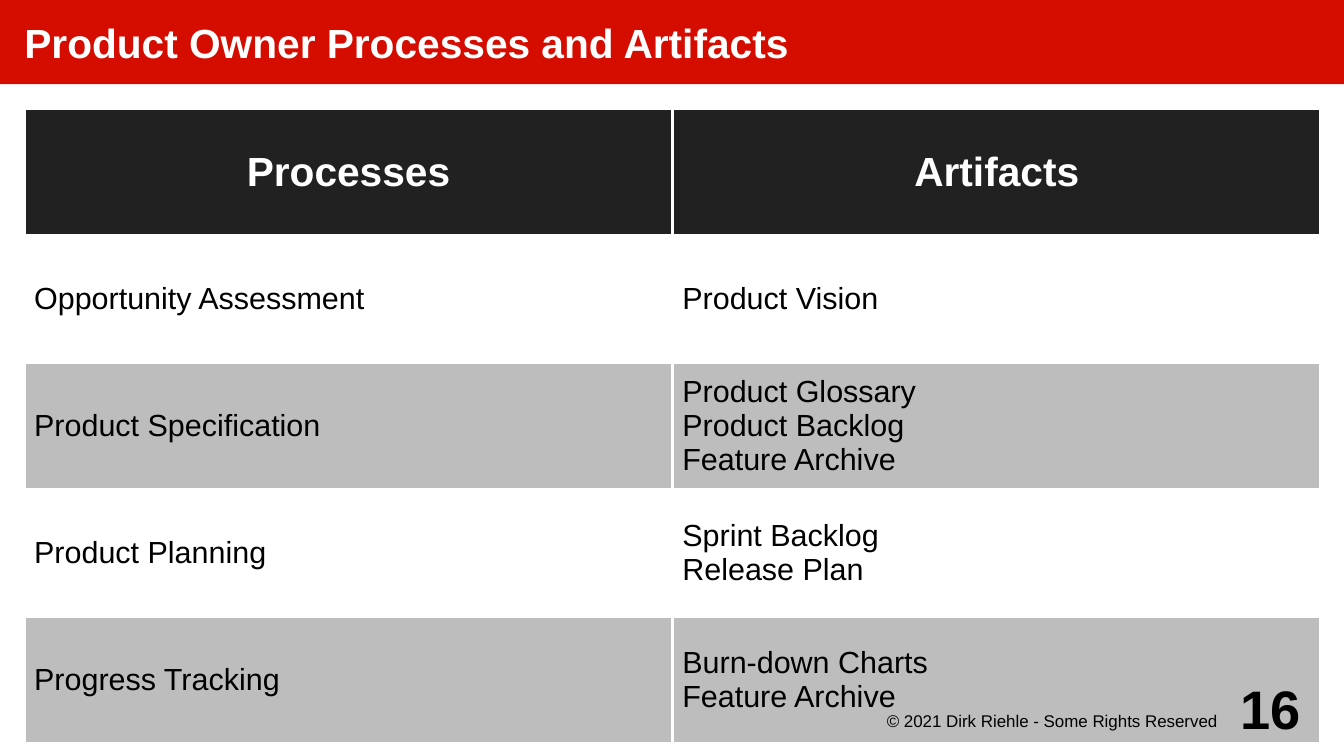
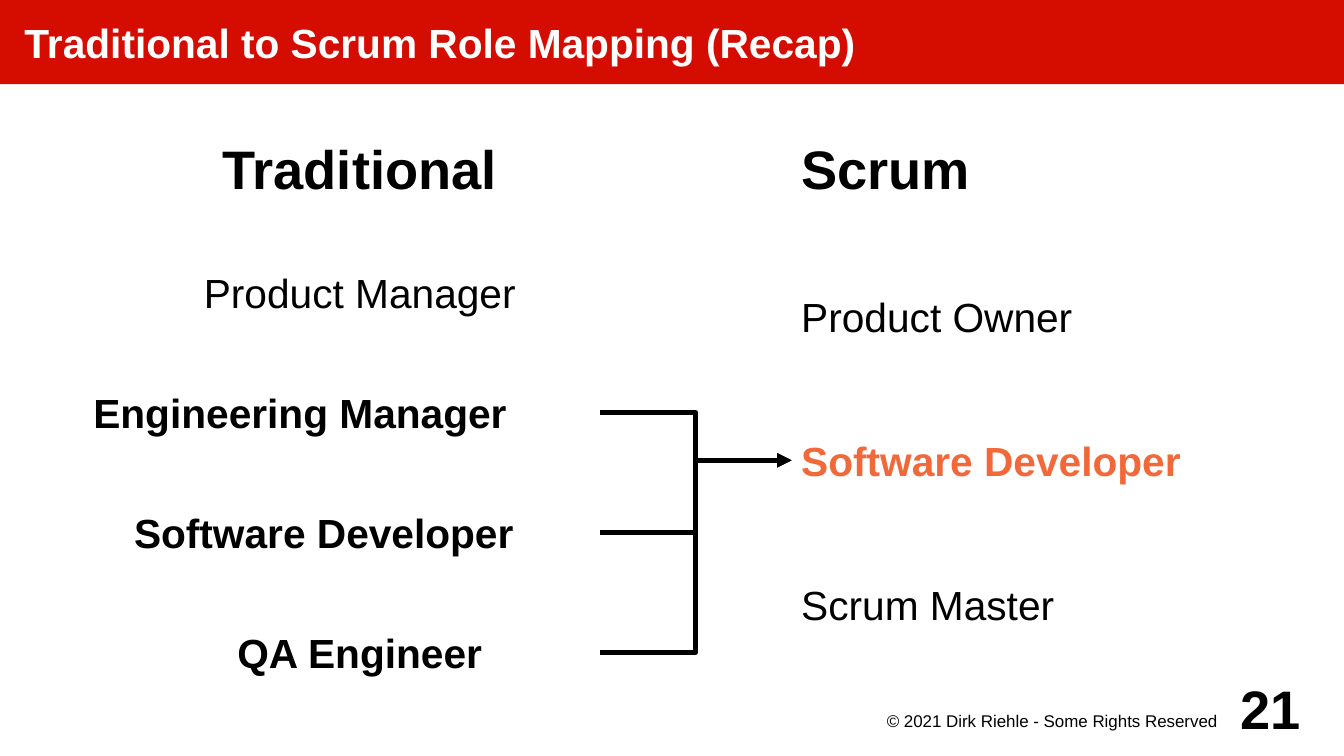
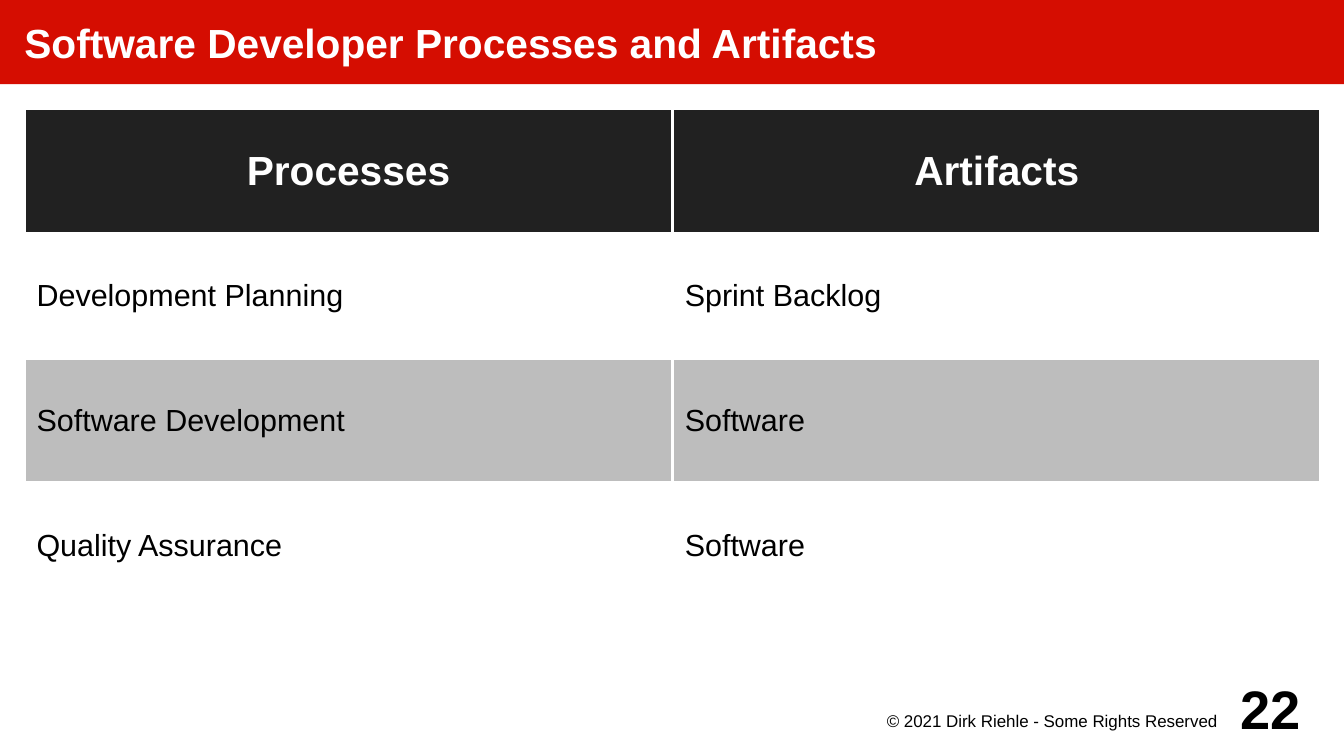
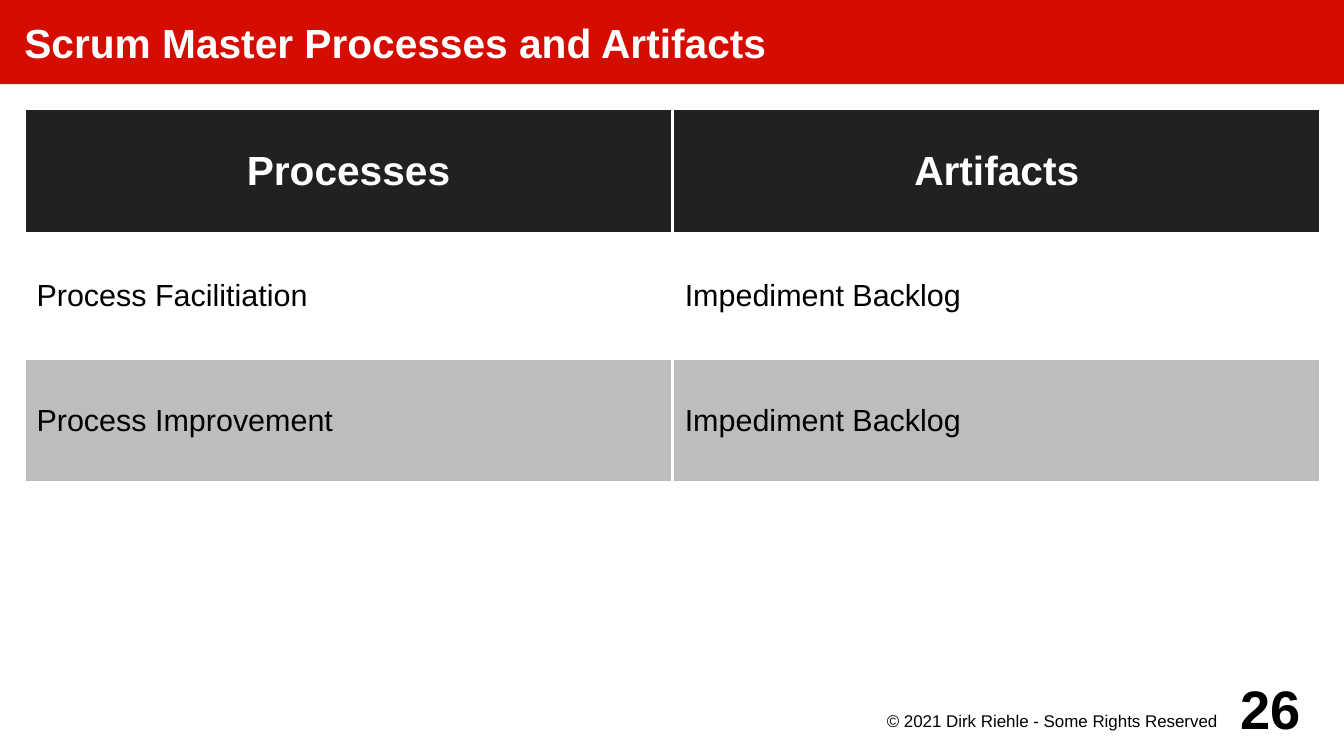
from lxml import etree
from pptx import Presentation
from pptx.dml.color import RGBColor
from pptx.enum.shapes import MSO_CONNECTOR
from pptx.enum.text import MSO_ANCHOR, PP_ALIGN
from pptx.oxml.ns import qn
from pptx.util import Inches, Pt

LEFT, MID = PP_ALIGN.LEFT, PP_ALIGN.CENTER
TOP, MIDDLE = MSO_ANCHOR.TOP, MSO_ANCHOR.MIDDLE
ELBOW = MSO_CONNECTOR.ELBOW

# Shared look
FONT = "Arial"
RED, ORANGE, DARK, GREY = "D50D01", "F36838", "212121", "BDBDBD"
BLACK, WHITE = "000000", "FFFFFF"
WIDTH, HEIGHT = 11.02, 6.2
RIGHTS = "© 2021 Dirk Riehle - Some Rights Reserved"
HEADS = ("Processes", "Artifacts")
EMPTY = ("", "")


def color(code):
    return RGBColor.from_string(code)


def paint(item, code):
    item.fill.solid()
    item.fill.fore_color.rgb = color(code)


def style(frame, size, code=BLACK, bold=False, align=LEFT):
    for para in frame.paragraphs:
        para.alignment = align
        font = para.font
        font.name, font.size, font.bold = FONT, Pt(size), bold
        font.color.rgb = color(code)


def inset(item, left, top, right, bottom):
    item.margin_left, item.margin_top = Inches(left), Inches(top)
    item.margin_right, item.margin_bottom = Inches(right), Inches(bottom)


def add_text(slide, text, at, size, pad=(0.08,) * 4, anchor=MIDDLE, **look):
    box = slide.shapes.add_textbox(*map(Inches, at))
    frame = box.text_frame
    frame.word_wrap = True
    frame.vertical_anchor = anchor
    inset(frame, *pad)
    frame.text = text
    style(frame, size, **look)
    return box


# Title band and footer
def add_slide(deck, text):
    slide = deck.slides.add_slide(deck.slide_layouts[5])
    title = slide.shapes.title
    title.left = title.top = 0
    title.width, title.height = Inches(WIDTH), Inches(0.69)
    paint(title, RED)
    frame = title.text_frame
    frame.text = text
    frame.vertical_anchor = MIDDLE
    inset(frame, 0.2, 0, 0, 0)
    style(frame, 24, WHITE, True)
    return slide


def add_footer(slide, page):
    add_text(slide, RIGHTS, (7.09, 5.81, 3.15, 0.3), 10,
             pad=(0, 0.02, 0.08, 0), anchor=TOP, align=MID)
    add_text(slide, str(page), (10.02, 5.51, 0.79, 0.59), 32,
             pad=(0,) * 4, bold=True, align=MID)


# Table parts
def add_edges(cell):
    props = cell._tc.get_or_add_tcPr()
    for side in ("lnL", "lnR", "lnT", "lnB"):
        line = etree.SubElement(props, qn("a:" + side), w=str(Pt(2.27)))
        fill = etree.SubElement(line, qn("a:solidFill"))
        etree.SubElement(fill, qn("a:srgbClr"), val=WHITE)


def add_grid(slide, rows, high, pad):
    rows = [HEADS, *rows]
    table = slide.shapes.add_table(
        len(rows), len(HEADS), Inches(0.2), Inches(0.89),
        Inches(10.63), Inches(high)).table
    for i, row in enumerate(rows):
        for j, text in enumerate(row):
            cell = table.cell(i, j)
            add_edges(cell)
            inset(cell, pad, 0.05, pad, 0.05)
            cell.vertical_anchor = MIDDLE
            cell.text = text
            if i == 0:
                paint(cell, DARK)
                style(cell.text_frame, 24, WHITE, True, MID)
            else:
                paint(cell, GREY if text and i % 2 == 0 else WHITE)
                style(cell.text_frame, 18)


def table_slide(deck, title, page, rows, high=5.12, pad=0.1):
    slide = add_slide(deck, title)
    add_grid(slide, rows, high, pad)
    add_footer(slide, page)


# Role mapping
def add_arrow(slide, start, end):
    line = slide.shapes.add_connector(ELBOW, 0, 0, 0, 0)
    line.begin_connect(start, 3)
    line.end_connect(end, 1)
    line.line.width = Pt(2.83)
    line.line.color.rgb = color(BLACK)
    etree.SubElement(line.line._get_or_add_ln(), qn("a:tailEnd"),
                     type="triangle")
    etree.SubElement(line._element.spPr, qn("a:effectLst"))


def role_slide(deck):
    slide = add_slide(deck, "Traditional to Scrum Role Mapping (Recap)")
    edge, right, top = 4.92, 6.49, 1.81
    add_text(slide, "Traditional", (0.98, 0.79, edge - 0.98, 1.18), 32,
             bold=True, align=MID)
    add_text(slide, "Scrum", (right, 0.79, 3.94, 1.18), 32, bold=True)

    # Scrum roles
    goal = None
    for i, role in enumerate(
            ("Product Owner", "Software Developer", "Scrum Master")):
        key = i == 1
        box = add_text(slide, role, (right, top + 1.18 * i, 4.33, 1.57), 24,
                       code=ORANGE if key else BLACK, bold=key)
        if key:
            goal = box

    # Traditional roles, with arrows from those that merge
    olds = (("Product Manager", 0.98), ("Engineering Manager", 0),
            ("Software Developer", 0.39), ("QA Engineer", 0.98))
    step = (4.76 - top) / 3
    for i, (role, left) in enumerate(olds):
        box = add_text(slide, role,
                       (left, top + step * i, edge - left, 1.18), 24,
                       bold=i > 0, align=MID)
        if i > 0:
            add_arrow(slide, box, goal)
    add_footer(slide, 21)


def main():
    deck = Presentation()
    deck.slide_width, deck.slide_height = Inches(WIDTH), Inches(HEIGHT)
    table_slide(deck, "Product Owner Processes and Artifacts", 16, [
        ("Opportunity Assessment", "Product Vision"),
        ("Product Specification",
         "Product Glossary\nProduct Backlog\nFeature Archive"),
        ("Product Planning", "Sprint Backlog\nRelease Plan"),
        ("Progress Tracking", "Burn-down Charts\nFeature Archive"),
    ], high=5.21, pad=0.08)
    role_slide(deck)
    table_slide(deck, "Software Developer Processes and Artifacts", 22, [
        ("Development Planning", "Sprint Backlog"),
        ("Software Development", "Software"),
        ("Quality Assurance", "Software"),
        EMPTY,
    ])
    table_slide(deck, "Scrum Master Processes and Artifacts", 26, [
        ("Process Facilitiation", "Impediment Backlog"),
        ("Process Improvement", "Impediment Backlog"),
        EMPTY,
        EMPTY,
    ])
    deck.save("out.pptx")


if __name__ == "__main__":
    main()
